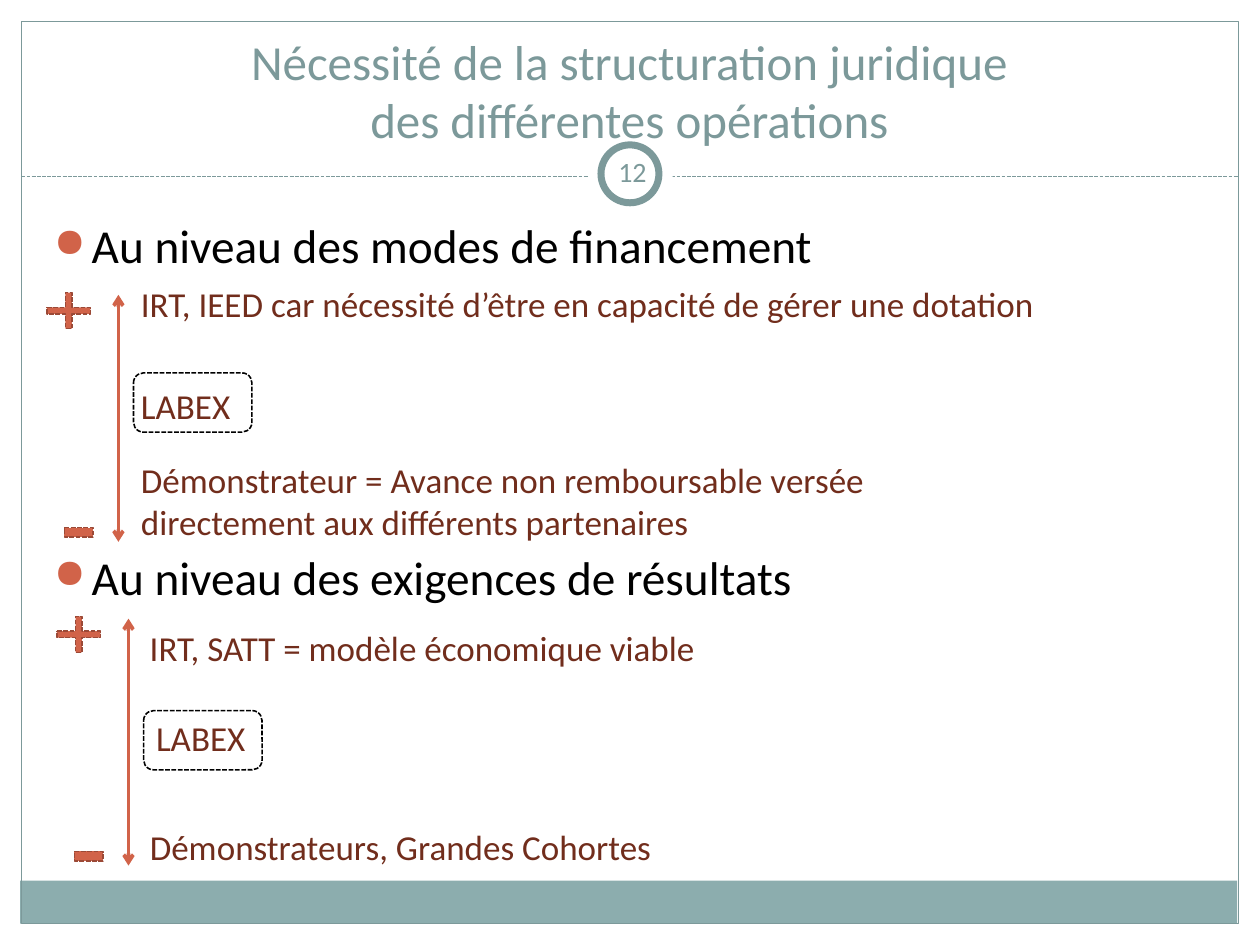
"""Build the slide on the legal structuring of operations."""
import pptx
import pptx.dml.color
import pptx.enum.dml
import pptx.enum.shapes
import pptx.enum.text
import pptx.oxml
import pptx.oxml.ns
import pptx.util

COLUMNS, ROWS = 100, 75
WIDTH, HEIGHT = pptx.util.Inches(10), pptx.util.Inches(7.5)
WHITE = pptx.dml.color.RGBColor(0xFF, 0xFF, 0xFF)
BLACK = pptx.dml.color.RGBColor(0x00, 0x00, 0x00)
TEAL = pptx.dml.color.RGBColor(0x7C, 0x99, 0x9A)
LIGHT_TEAL = pptx.dml.color.RGBColor(0x8C, 0xAD, 0xAE)
ORANGE = pptx.dml.color.RGBColor(0xD1, 0x63, 0x49)
DARK_ORANGE = pptx.dml.color.RGBColor(0x9B, 0x49, 0x36)
BROWN = pptx.dml.color.RGBColor(0x71, 0x2D, 0x1C)
PRESETS = pptx.enum.shapes.MSO_SHAPE
ANCHORS = pptx.enum.text.MSO_ANCHOR
CENTER = pptx.enum.text.PP_ALIGN.CENTER
DASH = pptx.enum.dml.MSO_LINE.SQUARE_DOT


def across(columns):
    """Convert grid columns to a length."""
    return round(WIDTH * columns / COLUMNS)


def down(rows):
    """Convert grid rows to a length."""
    return round(HEIGHT * rows / ROWS)


def place(box):
    """Convert a grid box to left, top, width and height."""
    left, top, width, height = box
    return across(left), down(top), across(width), down(height)


def apply(target, values):
    """Set attributes from a dict of format values."""
    for name, value in values.items():
        setattr(target, name, value)


def add_xml(parent, tag, **attributes):
    """Append a drawing element with its attributes."""
    element = pptx.oxml.parse_xml(f"<a:{tag} {pptx.oxml.ns.nsdecls('a')}/>")
    for name, value in attributes.items():
        element.set(name, str(value))
    parent.append(element)
    return element


def style_line(line, color, width, dash=None):
    """Give a line its colour, width and dash."""
    line.color.rgb = color
    apply(line, {"width": pptx.util.Pt(width), "dash_style": dash})


def add_preset(slide, preset, box, fill=None, line=None, adjustment=None):
    """Add a preset shape with optional fill and line."""
    shape = slide.shapes.add_shape(preset, *place(box))
    shape.shadow.inherit = False
    if fill is None:
        shape.fill.background()
    else:
        shape.fill.solid()
        shape.fill.fore_color.rgb = fill
    if line is None:
        shape.line.fill.background()
    else:
        style_line(shape.line, *line)
    if adjustment is not None:
        shape.adjustments[0] = adjustment


def add_line(slide, start, end, color, width, dash=None, arrows=False):
    """Add a straight line, with arrowheads at both ends if wanted."""
    connector = slide.shapes.add_connector(
        pptx.enum.shapes.MSO_CONNECTOR.STRAIGHT,
        across(start[0]), down(start[1]), across(end[0]), down(end[1]))
    style_line(connector.line, color, width, dash)
    if arrows:
        for tag in ("headEnd", "tailEnd"):
            add_xml(connector.line._get_or_add_ln(), tag, type="arrow")
    add_xml(connector._element.spPr, "effectLst")


def add_text(slide, box, texts, size, color, frame_format=None, paragraph_format=None):
    """Add a wrapping text box and return its paragraphs."""
    frame = slide.shapes.add_textbox(*place(box)).text_frame
    apply(frame, {"word_wrap": True, **(frame_format or {})})
    for index, text in enumerate(texts):
        paragraph = frame.add_paragraph() if index else frame.paragraphs[0]
        paragraph.text = text
        apply(paragraph, paragraph_format or {})
        for run in paragraph.runs:
            apply(run.font, {"name": "Calibri", "size": pptx.util.Pt(size)})
            run.font.color.rgb = color
    return frame.paragraphs


def add_bullet(paragraph):
    """Give a paragraph a hanging round bullet."""
    properties = paragraph._p.get_or_add_pPr()
    properties.set("marL", str(across(3)))
    properties.set("indent", str(-across(3)))
    add_xml(add_xml(properties, "buClr"), "srgbClr", val=ORANGE)
    add_xml(properties, "buSzPct", val=85000)
    add_xml(properties, "buChar", char="●")


def add_frame(slide):
    """Add the border, footer band, divider and number ring."""
    add_preset(slide, PRESETS.RECTANGLE, (1.6, 69.9, 96.6, 3.4), LIGHT_TEAL)
    add_preset(slide, PRESETS.RECTANGLE, (1.7, 1.7, 96.6, 71.6), line=(TEAL, 0.75))
    add_line(slide, (1.7, 14), (98.3, 14), TEAL, 0.75, DASH)
    add_preset(slide, PRESETS.OVAL, (46.7, 10.5, 6.7, 6.7), WHITE)
    add_preset(slide, PRESETS.OVAL, (47.7, 11.5, 4.6, 4.6), WHITE, (TEAL, 4))


def add_scale(slide, left, top):
    """Add a vertical arrow running from plus to minus."""
    outline = (DARK_ORANGE, 0.9, DASH)
    add_line(slide, (left + 6.3, top + 0.7), (left + 6.3, top + 20.3),
             ORANGE, 2, arrows=True)
    add_preset(slide, PRESETS.MATH_PLUS, (left, top, 4.7, 3.9), ORANGE, outline, 0.13)
    add_preset(slide, PRESETS.MATH_MINUS, (left + 1.6, top + 16.4, 3.1, 6.3),
               ORANGE, outline, 0.12)


def main():
    """Build and save the slide."""
    presentation = pptx.Presentation()
    apply(presentation, {"slide_width": WIDTH, "slide_height": HEIGHT})
    slide = presentation.slides.add_slide(presentation.slide_layouts[6])
    add_frame(slide)
    add_text(slide, (3.3, 4, 93.3, 8.3),
             ["Nécessité de la structuration juridique\vdes différentes opérations"],
             28, TEAL, {"vertical_anchor": ANCHORS.BOTTOM}, {"alignment": CENTER})
    margins = dict.fromkeys(
        ("margin_left", "margin_top", "margin_right", "margin_bottom"), across(0.5))
    add_text(slide, (47.7, 11.2, 5, 4.8), ["12"], 16, TEAL,
             {"vertical_anchor": ANCHORS.MIDDLE, **margins}, {"alignment": CENTER})
    headings = add_text(slide, (3.3, 16.7, 93, 52.8),
                        ["Au niveau des modes de financement",
                         "Au niveau des exigences de résultats"], 27, BLACK)
    headings[1].space_before = pptx.util.Pt(157)
    for heading in headings:
        add_bullet(heading)

    for left, top in ((3.1, 22.7), (3.9, 48.4)):
        add_scale(slide, left, top)
    levels = (
        (10.2, 21.9, 76.1, 4.4,
         "IRT, IEED car nécessité d’être en capacité de gérer une dotation"),
        (10.2, 30, 72.7, 4.4, "LABEX"),
        (10.2, 35.9, 64.1, 7.7, "Démonstrateur = Avance non remboursable versée "
         "directement aux différents partenaires"),
        (10.9, 49.2, 72.7, 4.4, "IRT, SATT = modèle économique viable"),
        (11.4, 56.4, 72.7, 4.4, "LABEX"),
        (10.9, 65, 64.1, 4.4, "Démonstrateurs, Grandes Cohortes"),
    )
    for *box, text in levels:
        add_text(slide, box, [text], 20, BROWN)
    for left, top in ((10.6, 29.6), (11.4, 56.4)):
        add_preset(slide, PRESETS.ROUNDED_RECTANGLE, (left, top, 9.4, 4.7),
                   line=(BLACK, 0.9, DASH))
    presentation.save("out.pptx")


main()
